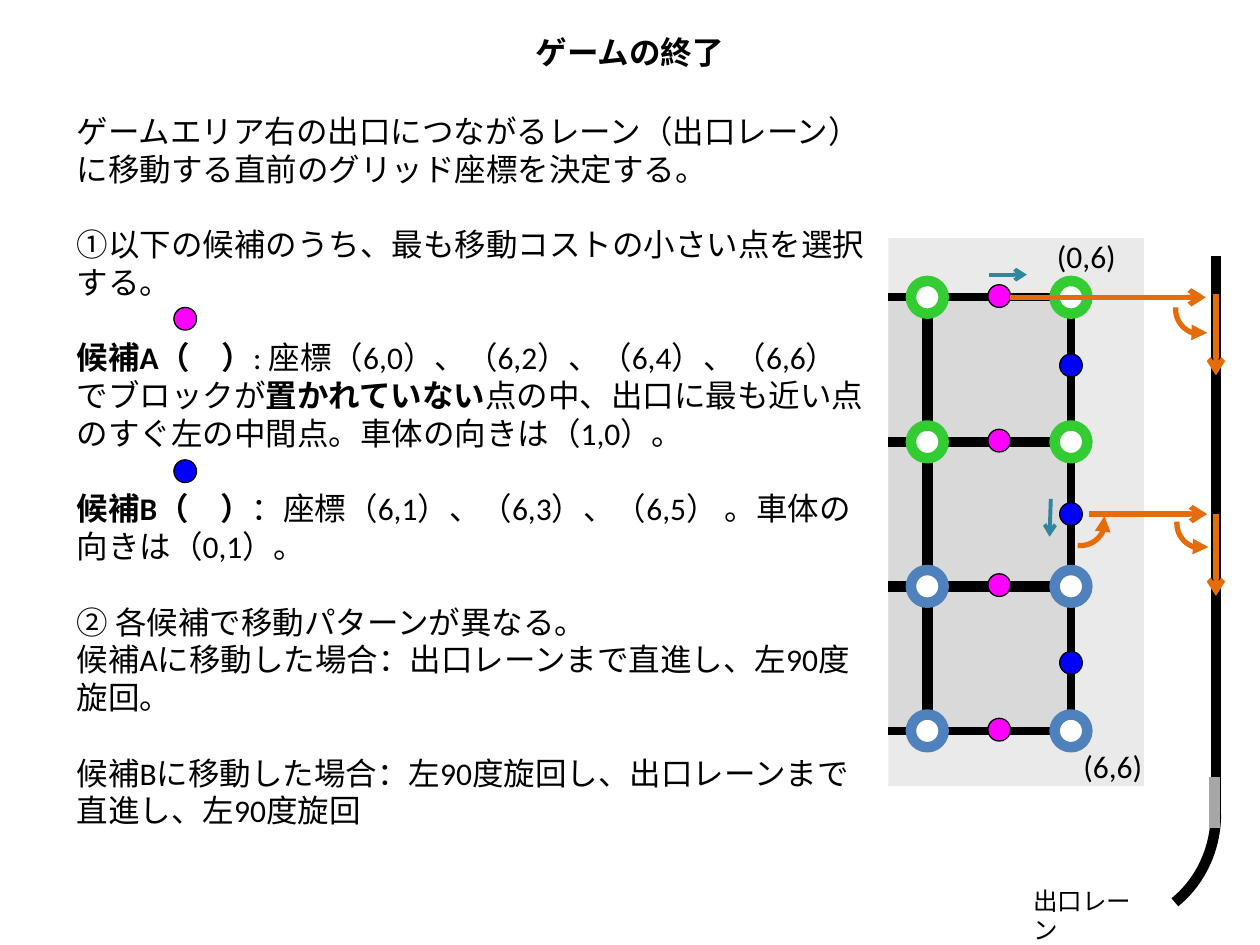
from lxml.etree import SubElement
from pptx import Presentation
from pptx.dml.color import RGBColor
from pptx.enum.shapes import MSO_CONNECTOR, MSO_SHAPE
from pptx.enum.text import MSO_ANCHOR, PP_ALIGN
from pptx.oxml.ns import qn
from pptx.util import Inches, Pt

COLORS = {
    "text": "000000", "line": "000000", "white": "FFFFFF",
    "area": "EAEAEA", "cell": "D9D9D9", "exit": "A6A6A6",
    "green": "33CC33", "blue": "4F81BD",
    "candidate_a": "FF00FF", "candidate_b": "0000FF",
    "move": "E46C0A", "heading": "31859C",
}
FONT = "Calibri"
DOT = 0.18
BLANK_LINE = 21.5

# Each paragraph: space before in points, then (text, bold) runs
BODY = [
    (0, [("ゲームエリア右の出口につながるレーン（出口レーン）に移動する直前のグリッド座標を決定する。", False)]),
    (BLANK_LINE, [("①以下の候補のうち、最も移動コストの小さい点を選択する。", False)]),
    (BLANK_LINE, [("候補A（　）", True),
                  (": 座標（6,0）、（6,2）、（6,4）、（6,6）でブロックが", False),
                  ("置かれていない", True),
                  ("点の中、出口に最も近い点のすぐ左の中間点。車体の向きは（1,0）。", False)]),
    (BLANK_LINE, [("候補B（　）", True),
                  ("：座標（6,1）、（6,3）、（6,5） 。車体の向きは（0,1）。", False)]),
    (BLANK_LINE, [("② 各候補で移動パターンが異なる。", False)]),
    (0, [("候補Aに移動した場合：出口レーンまで直進し、左90度旋回。", False)]),
    (BLANK_LINE, [("候補Bに移動した場合：左90度旋回し、出口レーンまで直進し、左90度旋回", False)]),
]


def color(name):
    return RGBColor.from_string(COLORS[name])


def add_run(paragraph, text, size=18, bold=False):
    run = paragraph.add_run()
    run.text = text
    run.font.name = FONT
    run.font.size = Pt(size)
    run.font.bold = bold
    run.font.color.rgb = color("text")


def add_text(slide, box, paragraphs, size=18, wrap=True):
    shape = slide.shapes.add_textbox(*map(Inches, box))
    frame = shape.text_frame
    frame.word_wrap = wrap
    for index, (space, runs) in enumerate(paragraphs):
        paragraph = frame.add_paragraph() if index else frame.paragraphs[0]
        paragraph.space_before = Pt(space)
        for text, bold in runs:
            add_run(paragraph, text, size, bold)


def add_shape(slide, kind, box, fill=None, line=None, width=0.75):
    shape = slide.shapes.add_shape(kind, *map(Inches, box))
    shape.shadow.inherit = False
    if fill:
        shape.fill.solid()
        shape.fill.fore_color.rgb = color(fill)
    else:
        shape.fill.background()
    if line:
        shape.line.color.rgb = color(line)
        shape.line.width = Pt(width)
    else:
        shape.line.fill.background()
    return shape


def add_circle(slide, x, y, size, fill, line="line", width=0.75):
    box = (x - size / 2, y - size / 2, size, size)
    add_shape(slide, MSO_SHAPE.OVAL, box, fill, line, width)


def add_arrowhead(shape, kind):
    SubElement(shape.line._get_or_add_ln(), qn("a:tailEnd"), type=kind)


def add_line(slide, start, end, line="line", width=6, head=None):
    points = map(Inches, (*start, *end))
    connector = slide.shapes.add_connector(MSO_CONNECTOR.STRAIGHT, *points)
    connector.line.color.rgb = color(line)
    connector.line.width = Pt(width)
    if head:
        add_arrowhead(connector, head)
    SubElement(connector._element.spPr, qn("a:effectLst"))


def add_arc(slide, box, start, end, line, width, rotation=0):
    """Draw a vertically flipped arc; angles are in degrees."""
    shape = add_shape(slide, MSO_SHAPE.ARC, box, None, line, width)
    # Adjustments count 100000ths, angles 60000ths of a degree
    shape.adjustments[0] = start * 0.6
    shape.adjustments[1] = end * 0.6
    shape.rotation = rotation
    shape._element.spPr.get_or_add_xfrm().set("flipV", "1")
    return shape


def add_turn(slide, left, top, start, end):
    arc = add_arc(slide, (left, top, 0.39, 0.39), start, end, "move", 3, 270)
    add_arrowhead(arc, "triangle")


def build_title(slide, box):
    title = slide.shapes.title
    title.left, title.top, title.width, title.height = map(Inches, box)
    frame = title.text_frame
    frame.word_wrap = False
    frame.vertical_anchor = MSO_ANCHOR.TOP
    paragraph = frame.paragraphs[0]
    paragraph.alignment = PP_ALIGN.CENTER
    add_run(paragraph, "ゲームの終了", bold=True)


def build_explanation(slide, box):
    left, top = box[:2]
    add_text(slide, box, BODY)
    # Colour keys of the two candidates
    add_circle(slide, left + 0.96, top + 1.69, DOT, "candidate_a")
    add_circle(slide, left + 0.96, top + 2.9, DOT, "candidate_b")


def build_game_area(slide, box):
    left, top, width, height = box
    pitch = 1.147
    inner, outer = left + 0.31, left + 1.45
    rows = [top + 0.47 + pitch * index for index in range(4)]
    add_shape(slide, MSO_SHAPE.RECTANGLE, box, "area")
    add_shape(slide, MSO_SHAPE.RECTANGLE,
              (left, rows[0], outer - left, rows[3] - rows[0]), "cell")
    # Grid lines
    for y, weight in zip(rows, (4.5, 6, 6, 4.5)):
        add_line(slide, (left, y), (outer, y), width=weight)
    for x, weight in ((inner, 6), (outer, 4.5)):
        add_line(slide, (x, rows[0]), (x, rows[3]), width=weight)
    # Grid points and midpoints
    for y, ring in zip(rows, ("green", "green", "blue", "blue")):
        for x in (inner, outer):
            add_circle(slide, x, y, 0.26, "white", ring, 6)
        add_circle(slide, (inner + outer) / 2, y - 0.01, DOT, "candidate_a")
    for index in range(3):
        add_circle(slide, outer, top + 1.01 + 1.18 * index, DOT, "candidate_b")
    # Corner coordinates
    add_text(slide, (left + 1.24, top - 0.06, 0.68, 0.4), [(0, [("(0,6)", False)])], wrap=False)
    add_text(slide, (left + 1.45, top + 3.99, 0.68, 0.4), [(0, [("(6,6)", False)])], wrap=False)


def build_exit_lane(slide, box):
    left, top, width, height = box
    x, bottom = left + width, top + height
    add_arc(slide, (x - 1.64, bottom - 1.74, 1.64, 1.76), 305.2, 0, "line", 6)
    add_line(slide, (x, top), (x, top + 4.46))
    add_line(slide, (x - 0.01, top + 4.14), (x - 0.01, top + 4.54), "exit")
    add_text(slide, (left, top + 4.95, 1.12, 0.34), [(0, [("出口レーン", False)])], 14)


def build_moves(slide, box):
    left, top, width, height = box
    lane = left + width
    # Candidate A: straight to the lane, then turn left
    add_line(slide, (left + 0.17, top + 0.18), (lane - 0.08, top + 0.18), "move", 3, "arrow")
    add_line(slide, (lane, top + 0.15), (lane, top + 0.8), "move", 3, "arrow")
    add_turn(slide, lane - 0.32, top + 0.08, 85.6, 196.6)
    # Candidate B: turn left, straight to the lane, turn left again
    add_turn(slide, left + 0.53, top + 1.76, 173.5, 281.8)
    add_line(slide, (left + 0.79, top + 1.9), (lane - 0.07, top + 1.9), "move", 3, "arrow")
    add_line(slide, (lane, top + 1.9), (lane, top + height), "move", 3, "arrow")
    add_turn(slide, lane - 0.31, top + 1.78, 85.6, 196.6)
    # Headings of the vehicle
    add_line(slide, (left, top), (left + 0.3, top), "heading", 2.25, "arrow")
    add_line(slide, (left + 0.49, top + 1.78), (left + 0.48, top + 2.08), "heading", 2.25, "arrow")


def main():
    presentation = Presentation()
    presentation.slide_width = Inches(10)
    presentation.slide_height = Inches(7.5)
    slide = presentation.slides.add_slide(presentation.slide_layouts[5])
    build_title(slide, (4.15, 0.21, 1.7, 0.4))
    build_explanation(slide, (0.51, 0.84, 6.46, 4.95))
    build_game_area(slide, (7.05, 1.89, 2.03, 4.35))
    build_exit_lane(slide, (8.1, 2.03, 1.55, 5.29))
    build_moves(slide, (7.85, 2.18, 1.8, 2.55))
    presentation.save("out.pptx")


if __name__ == "__main__":
    main()
